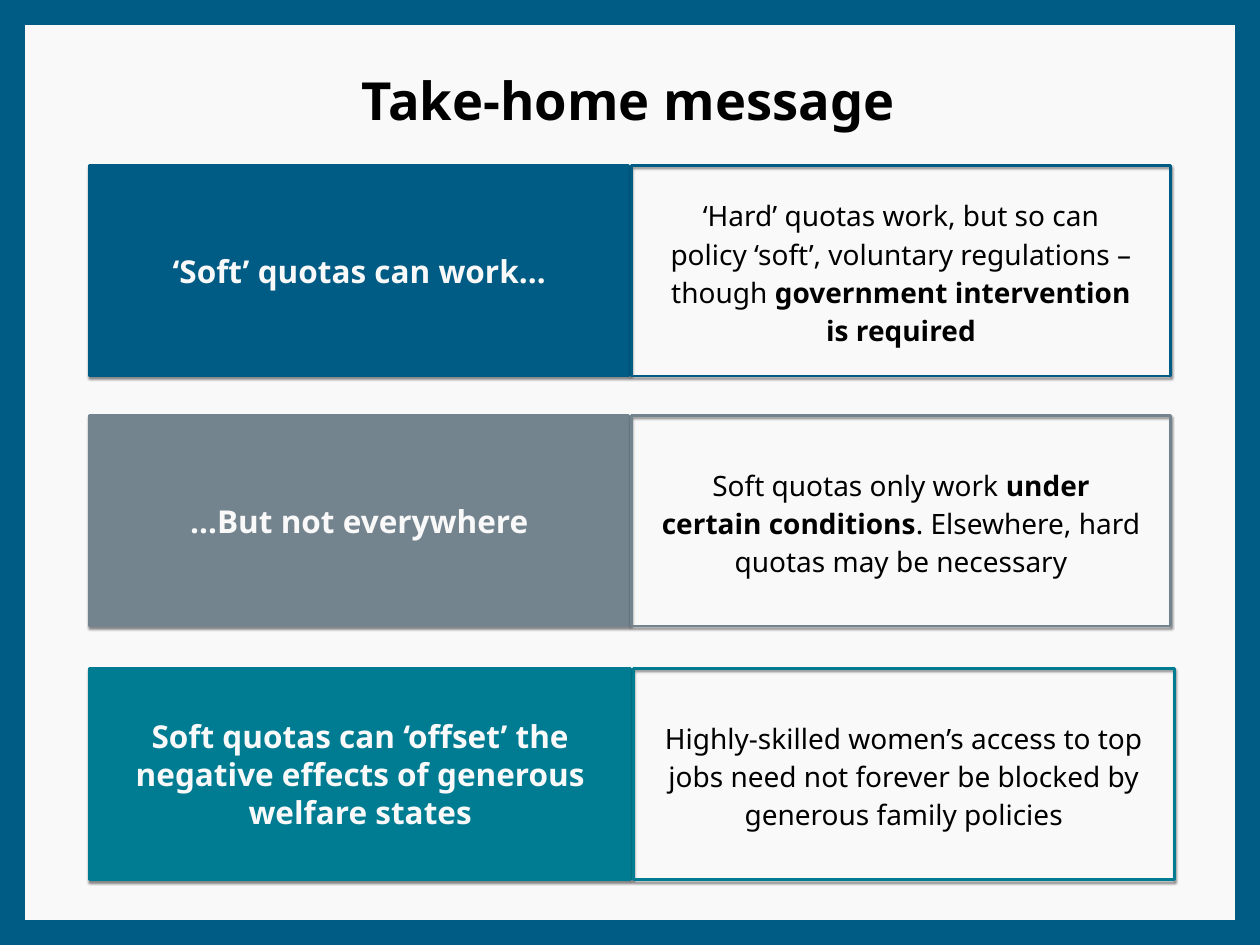
from lxml import etree
from pptx import Presentation
from pptx import util as u
from pptx.dml.color import RGBColor
from pptx.enum import shapes, text
from pptx.oxml.ns import qn

FONT = "Noto Sans"
COLORS = {"blue": "005C84", "grey": "74848E", "teal": "007C92",
          "panel": "F9F9F9", "black": "000000"}
SLIDE_WIDTH, SLIDE_HEIGHT = 50.8, 38.1
GAP = 0.1
CAPTION_WIDTH, DETAIL_WIDTH = 20.35, 19.79

# Row box in cm, colour, caption and its height, detail spans (text, bold) and their height
ROWS = [
    ((3.61, 6.68, 43.59, 8.48), "blue", "‘Soft’ quotas can work…", 1.8,
     [("‘Hard’ quotas work, but so can policy ‘soft’, voluntary regulations – though ", False),
      ("government intervention is required", True)], 6.3),
    ((3.61, 16.76, 43.59, 8.48), "grey", "…But not everywhere", 1.8,
     [("Soft quotas only work ", False), ("under certain conditions", True),
      (". Elsewhere, hard quotas may be necessary", False)], 4.72),
    ((3.61, 26.97, 43.74, 8.48), "teal",
     "Soft quotas can ‘offset’ the negative effects of generous welfare states", 4.88,
     [("Highly-skilled women’s access to top jobs need not forever be blocked by "
       "generous family policies", False)], 4.72),
]


def color(name):
    return RGBColor.from_string(COLORS[name])


def lengths(box):
    return [u.Cm(value) for value in box]


def centred(box, width, height):
    """Return a box of the given size in the middle of another."""
    left, top, outer_width, outer_height = box
    return (left + (outer_width - width) / 2, top + (outer_height - height) / 2, width, height)


def add_shadow(shape):
    effects = etree.SubElement(shape._element.spPr, qn("a:effectLst"))
    shadow = etree.SubElement(effects, qn("a:outerShdw"), blurRad=str(u.Pt(3)),
                              dist=str(u.Pt(2)), dir="5400000", rotWithShape="0")
    tint = etree.SubElement(shadow, qn("a:srgbClr"), val=COLORS["black"])
    etree.SubElement(tint, qn("a:alpha"), val="45000")


def add_block(slide, box, tone, filled):
    block = slide.shapes.add_shape(shapes.MSO_SHAPE.RECTANGLE, *lengths(box))
    if filled:
        block.fill.solid()
        block.fill.fore_color.rgb = color(tone)
    else:
        block.fill.background()
    block.line.color.rgb = color(tone)
    block.line.width = u.Pt(3.25)
    add_shadow(block)


def style_paragraph(para, size, tone, bold=None):
    para.alignment = text.PP_ALIGN.CENTER
    para.font.name = FONT
    para.font.size = u.Pt(size)
    para.font.bold = bold
    para.font.color.rgb = color(tone)


def add_text(slide, box, spans, size, tone, spacing):
    frame = slide.shapes.add_textbox(*lengths(box)).text_frame
    frame.word_wrap = True
    frame.vertical_anchor = text.MSO_ANCHOR.MIDDLE
    para = frame.paragraphs[0]
    style_paragraph(para, size, tone)
    para.line_spacing = spacing
    for words, bold in spans:
        span = para.add_run()
        span.text = words
        span.font.bold = bold


def add_row(slide, box, tone, caption, caption_height, detail, detail_height):
    """Place a filled caption block and an outlined detail block side by side."""
    left, top, width, height = box
    half = (width - GAP) / 2
    caption_box = (left, top, half, height)
    detail_box = (left + half + GAP, top, half, height)
    add_block(slide, caption_box, tone, True)
    add_block(slide, detail_box, tone, False)
    add_text(slide, centred(caption_box, CAPTION_WIDTH, caption_height),
             [(caption, True)], 36, "panel", 1.0)
    add_text(slide, centred(detail_box, DETAIL_WIDTH, detail_height),
             detail, 32, "black", 1.14)


def add_panel(slide, box):
    slide.background.fill.solid()
    slide.background.fill.fore_color.rgb = color("blue")
    panel = slide.shapes.add_shape(shapes.MSO_SHAPE.RECTANGLE, *lengths(box))
    panel.shadow.inherit = False
    panel.fill.solid()
    panel.fill.fore_color.rgb = color("panel")
    panel.line.fill.background()
    # The panel lies behind the title placeholder
    slide.shapes._spTree.insert(2, panel._element)


def set_title(slide, box, words):
    title = slide.shapes.title
    title.left, title.top, title.width, title.height = lengths(box)
    frame = title.text_frame
    frame.text = words
    frame.word_wrap = True
    frame.auto_size = text.MSO_AUTO_SIZE.NONE
    frame.vertical_anchor = text.MSO_ANCHOR.MIDDLE
    style_paragraph(frame.paragraphs[0], 60, "black", True)


def main():
    deck = Presentation()
    deck.slide_width, deck.slide_height = u.Cm(SLIDE_WIDTH), u.Cm(SLIDE_HEIGHT)
    slide = deck.slides.add_slide(deck.slide_layouts.get_by_name("Title Only"))
    add_panel(slide, centred((0, 0, SLIDE_WIDTH, SLIDE_HEIGHT), 48.77, 36.07))
    set_title(slide, (0.89, 2.46, 48.87, 3.07), "Take-home message")
    for row in ROWS:
        add_row(slide, *row)
    deck.save("out.pptx")


if __name__ == "__main__":
    main()
